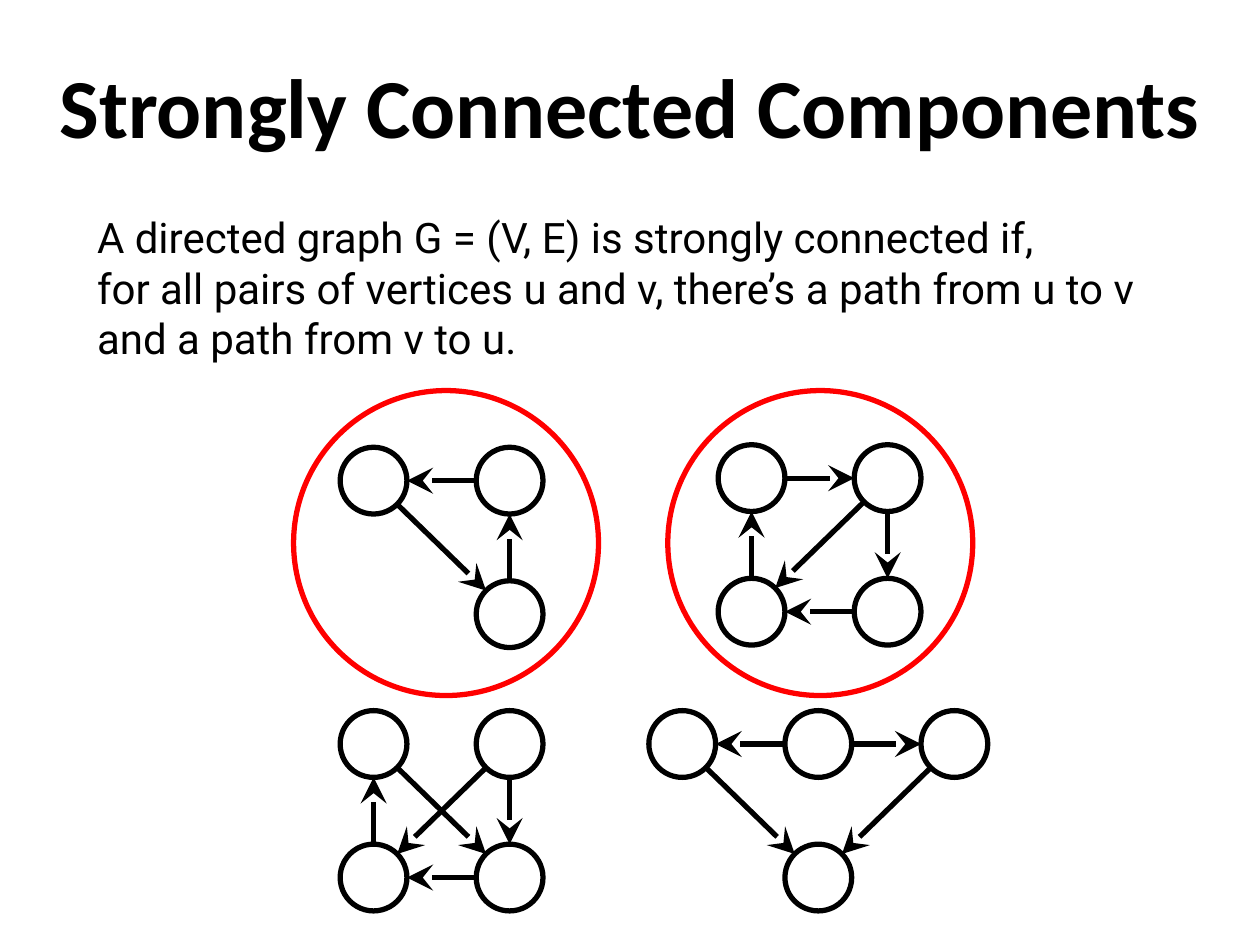
import pptx
import pptx.dml.color
import pptx.enum.shapes
import pptx.enum.text
import pptx.oxml
import pptx.oxml.ns
import pptx.util
from pptx.util import Inches

BLACK = pptx.dml.color.RGBColor(0x00, 0x00, 0x00)
WHITE = pptx.dml.color.RGBColor(0xFF, 0xFF, 0xFF)
RED = pptx.dml.color.RGBColor(0xFF, 0x00, 0x00)

NODE_SIZE = 0.53
COLUMN_STEP = 1.08
ROW_STEP = 1.06
DIAGONAL = 0.5 ** 0.5
RING_SIZE = 2.42

# Each graph: top left of its grid, then edges between (column, row) cells
GRAPHS = [
    ((2.7, 3.55), [((1, 0), (0, 0)), ((1, 1), (1, 0)), ((0, 0), (1, 1))]),
    ((5.7, 3.53), [((0, 0), (1, 0)), ((1, 0), (1, 1)), ((1, 1), (0, 1)),
                   ((0, 1), (0, 0)), ((1, 0), (0, 1))]),
    ((2.7, 5.64), [((1, 0), (1, 1)), ((1, 0), (0, 1)), ((0, 1), (0, 0)),
                   ((1, 1), (0, 1)), ((0, 0), (1, 1))]),
    ((5.15, 5.64), [((1, 0), (0, 0)), ((1, 0), (2, 0)), ((0, 0), (1, 1)),
                    ((2, 0), (1, 1))]),
]
RINGS = [(2.33, 3.1), (5.3, 3.1)]


def write(box, lines, font="Roboto", size=24, bold=False, color=BLACK,
          align=pptx.enum.text.PP_ALIGN.LEFT):
    frame = box.text_frame
    frame.word_wrap = True
    frame.auto_size = pptx.enum.text.MSO_AUTO_SIZE.NONE
    frame.vertical_anchor = pptx.enum.text.MSO_ANCHOR.TOP
    frame.margin_left = frame.margin_right = Inches(0.1)
    frame.margin_top = frame.margin_bottom = Inches(0.1)
    for index, line in enumerate(lines):
        para = frame.add_paragraph() if index else frame.paragraphs[0]
        para.alignment = align
        para.space_before = pptx.util.Pt(0)
        span = para.add_run()
        span.text = line
        span.font.name = font
        span.font.size = pptx.util.Pt(size)
        span.font.bold = bold
        span.font.color.rgb = color


class GraphSlide:
    def __init__(self, page, line_width=3):
        self.page = page
        self.line_width = pptx.util.Pt(line_width)

    def place(self, index, left, top, width, height, lines, **style):
        box = self.page.placeholders[index]
        box.left, box.top = Inches(left), Inches(top)
        box.width, box.height = Inches(width), Inches(height)
        write(box, lines, **style)

    def circle(self, left, top, size, line_color, fill=None):
        shape = self.page.shapes.add_shape(
            pptx.enum.shapes.MSO_SHAPE.OVAL,
            Inches(left), Inches(top), Inches(size), Inches(size))
        shape.shadow.inherit = False
        if fill is None:
            shape.fill.background()
        else:
            shape.fill.solid()
            shape.fill.fore_color.rgb = fill
        shape.line.color.rgb = line_color
        shape.line.width = self.line_width

    def arrow(self, start, end):
        link = self.page.shapes.add_connector(
            pptx.enum.shapes.MSO_CONNECTOR.STRAIGHT,
            *(Inches(value) for value in (*start, *end)))
        link.line.color.rgb = BLACK
        link.line.width = self.line_width
        properties = link._element.spPr
        outline = properties.find(pptx.oxml.ns.qn("a:ln"))
        outline.append(pptx.oxml.parse_xml(
            f'<a:tailEnd {pptx.oxml.ns.nsdecls("a")} type="stealth" w="lg" len="lg"/>'))
        properties.append(pptx.oxml.parse_xml(
            f'<a:effectLst {pptx.oxml.ns.nsdecls("a")}/>'))

    def graph(self, origin, edges):
        def corner(cell):
            return (origin[0] + cell[0] * COLUMN_STEP,
                    origin[1] + cell[1] * ROW_STEP)

        # Edges run between the facing points of two circles
        for source, target in edges:
            steps = [b - a for a, b in zip(source, target)]
            reach = NODE_SIZE / 2 * (DIAGONAL if all(steps) else 1)
            start = [p + NODE_SIZE / 2 + s * reach
                     for p, s in zip(corner(source), steps)]
            end = [p + NODE_SIZE / 2 - s * reach
                   for p, s in zip(corner(target), steps)]
            self.arrow(start, end)
        for cell in sorted({cell for edge in edges for cell in edge}):
            self.circle(*corner(cell), NODE_SIZE, BLACK, WHITE)


def main():
    deck = pptx.Presentation()
    deck.slide_width, deck.slide_height = Inches(10), Inches(7.5)
    slide = GraphSlide(deck.slides.add_slide(deck.slide_layouts[0]))

    # Title and definition
    slide.place(0, 0, 0.33, 10, 1.25, ["Strongly Connected Components"],
                font="Calibri", size=48, bold=True,
                align=pptx.enum.text.PP_ALIGN.CENTER)
    slide.place(1, 0.67, 1.58, 8.67, 5.92, [
        "A directed graph G = (V, E) is strongly connected if,",
        "for all pairs of vertices u and v, there’s a path from u to v",
        "and a path from v to u.",
    ])

    # Example graphs
    for origin, edges in GRAPHS:
        slide.graph(origin, edges)

    # Rings around the strongly connected graphs
    for left, top in RINGS:
        slide.circle(left, top, RING_SIZE, RED)

    deck.save("out.pptx")


if __name__ == "__main__":
    main()
